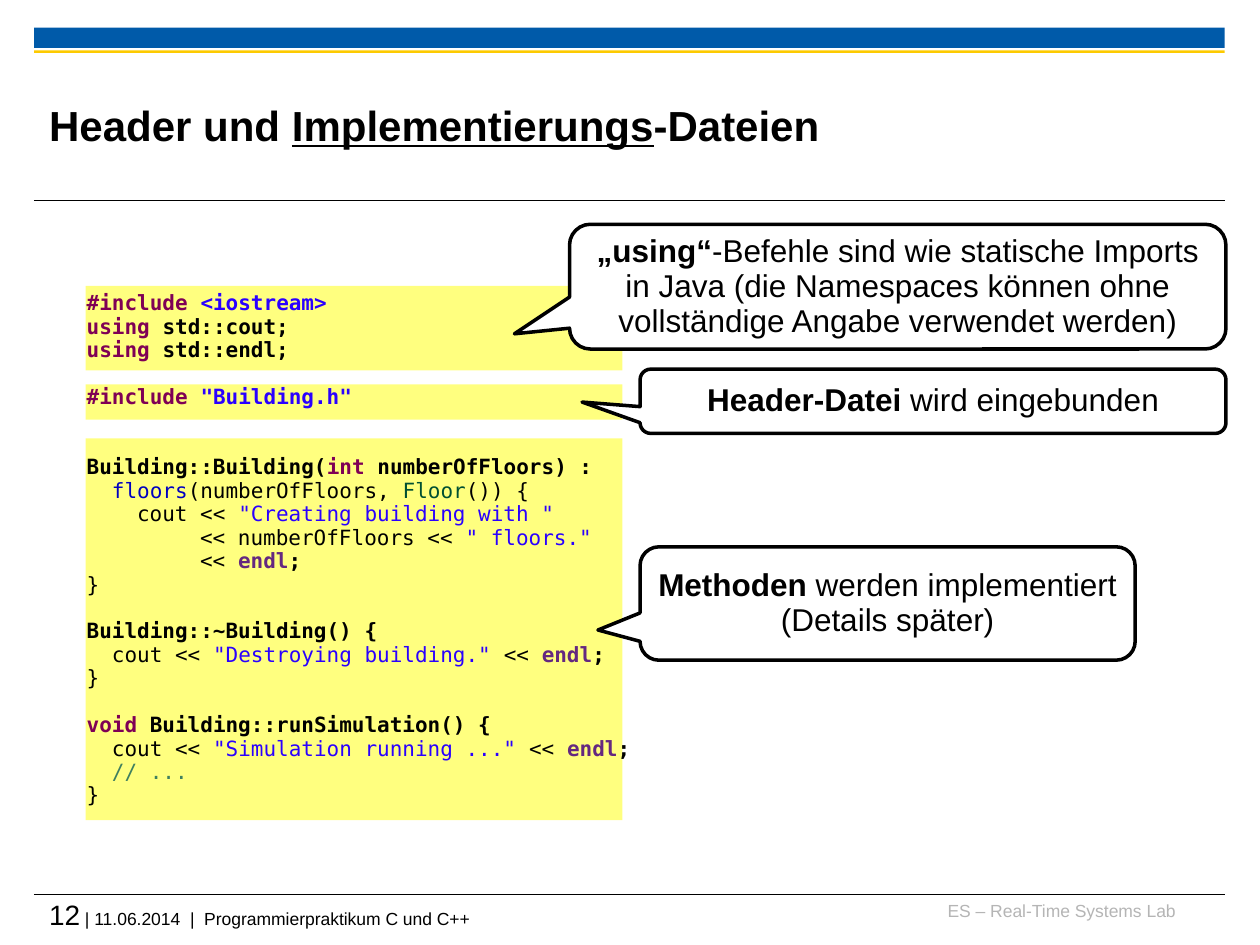
"""Build the slide on header and implementation files in C++."""
from lxml.etree import SubElement
from pptx import Presentation
from pptx.dml.color import RGBColor
from pptx.enum.shapes import MSO_CONNECTOR, MSO_SHAPE
from pptx.enum.text import MSO_ANCHOR, PP_ALIGN
from pptx.oxml.ns import qn
from pptx.util import Inches, Pt

COLORS = {
    "black": "000000", "white": "FFFFFF", "blue": "005AA9", "gold": "FDCA00",
    "grey": "B5B5B5", "highlight": "FFFF00", "keyword": "7F0055",
    "string": "2A00FF", "field": "0000C0", "type": "005032",
    "endl": "642880", "comment": "3F7F5F",
}
LINE_SPACING = 0.93
CODE_LINE = Pt(13.4)
CODE_CHAR = Inches(0.1)


def add_runs(paragraph, runs, size, font="Arial"):
    paragraph.font.size = Pt(size)
    paragraph.font.name = font
    for text, color, bold in runs:
        run = paragraph.add_run()
        run.text = text
        run.font.bold = bold
        run.font.color.rgb = RGBColor.from_string(COLORS[color])


def add_block(kind, left, top, width, height, fill):
    block = slide.shapes.add_shape(
        kind, Inches(left), Inches(top), Inches(width), Inches(height))
    block.shadow.inherit = False
    block.fill.solid()
    block.fill.fore_color.rgb = RGBColor.from_string(COLORS[fill])
    block.line.fill.background()
    return block


presentation = Presentation()
presentation.slide_width, presentation.slide_height = Inches(10), Inches(7.5)
slide = presentation.slides.add_slide(presentation.slide_layouts[5])

for top, height, color in [(0.22, 0.16, "blue"), (0.4, 0.02, "gold")]:
    add_block(MSO_SHAPE.RECTANGLE, 0.27, top, 9.45, height, color)

for y in (1.59, 7.1):
    rule = slide.shapes.add_connector(
        MSO_CONNECTOR.STRAIGHT, Inches(0.27), Inches(y), Inches(9.72), Inches(y))
    rule.line.color.rgb = RGBColor.from_string(COLORS["black"])
    rule.line.width = Pt(0.6)
    SubElement(rule._element.spPr, qn("a:effectLst"))

footers = [
    (7.36, 7.14, 1.97, 0.25, PP_ALIGN.RIGHT,
     [("ES – Real-Time Systems Lab", "grey", False)]),
    (0.39, 7.12, 9.33, 0.33, PP_ALIGN.LEFT,
     [("12", "black", False),
      (" | 11.06.2014  |  Programmierpraktikum C und C++", "black", False)]),
]
for left, top, width, height, alignment, runs in footers:
    footer = slide.shapes.add_textbox(
        Inches(left), Inches(top), Inches(width), Inches(height)).text_frame
    footer.word_wrap = True
    footer.margin_left = footer.margin_right = 0
    footer.margin_top = footer.margin_bottom = 0
    footer.paragraphs[0].alignment = alignment
    add_runs(footer.paragraphs[0], runs, 10)
footer.paragraphs[0].runs[0].font.size = Pt(16)

for top, height in [(2.27, 0.67), (3.05, 0.28), (3.48, 3.03)]:
    code_background = add_block(
        MSO_SHAPE.RECTANGLE, 0.68, top, 4.26, height, "highlight")
    highlight = code_background._element.spPr.find(qn("a:solidFill"))[0]
    SubElement(highlight, qn("a:alpha"), val="50000")

title = slide.shapes.title
title.left, title.top = Inches(0.39), Inches(0.53)
title.width, title.height = Inches(7.52), Inches(0.92)
heading = title.text_frame
heading.vertical_anchor = MSO_ANCHOR.MIDDLE
heading.margin_left = heading.margin_right = 0
heading.margin_top = heading.margin_bottom = 0
heading.paragraphs[0].alignment = PP_ALIGN.LEFT
add_runs(heading.paragraphs[0],
         [(text, "black", True)
          for text in ("Header und ", "Implementierungs", "-Dateien")], 24)
heading.paragraphs[0].runs[1].font.underline = True

closing_brace = (0, 0, [("}", "black", False)])
endl = [("endl", "endl", True), (";", "black", True)]
code_lines = [
    (0, 0, [("#include ", "keyword", True), ("<iostream>", "string", True)]),
    (0, 0, [("using", "keyword", True), (" std::cout;", "black", True)]),
    (0, 0, [("using", "keyword", True), (" std::endl;", "black", True)]),
    (1, 0, [("#include ", "keyword", True), ('"Building.h"', "string", True)]),
    (2, 0, [("Building::Building(", "black", True), ("int", "keyword", True),
            (" numberOfFloors) :", "black", True)]),
    (0, 2, [("floors", "field", False), ("(numberOfFloors, ", "black", False),
            ("Floor", "type", False), ("()) {", "black", False)]),
    (0, 4, [("cout << ", "black", False),
            ('"Creating building with "', "string", False)]),
    (0, 9, [("<< numberOfFloors << ", "black", False),
            ('" floors."', "string", False)]),
    (0, 9, [("<< ", "black", False), *endl]),
    closing_brace,
    (1, 0, [("Building::~Building() {", "black", True)]),
    (0, 2, [("cout << ", "black", False),
            ('"Destroying building."', "string", False),
            (" << ", "black", False), *endl]),
    closing_brace,
    (1, 0, [("void", "keyword", True),
            (" Building::runSimulation() {", "black", True)]),
    (0, 2, [("cout << ", "black", False),
            ('"Simulation running ..."', "string", False),
            (" << ", "black", False), *endl]),
    (0, 2, [("// ...", "comment", False)]),
    closing_brace,
]
code = slide.shapes.add_textbox(
    Inches(0.59), Inches(2.27), Inches(8.43), Inches(4.43)).text_frame
code.word_wrap = True
for index, (blank_lines, indent, runs) in enumerate(code_lines):
    line = code.add_paragraph() if index else code.paragraphs[0]
    line.line_spacing = LINE_SPACING
    line.space_before = blank_lines * CODE_LINE
    line._p.get_or_add_pPr().set("marL", str(indent * CODE_CHAR))
    add_runs(line, runs, 12, "DejaVu Sans Mono")

callouts = [
    (4.52, 1.78, 5.21, 0.99, (-0.584, 0.378),
     [[("„using“", "black", True),
       ("-Befehle sind wie statische Imports in Java (die Namespaces können "
        "ohne vollständige Angabe verwendet werden)", "black", False)]]),
    (5.08, 2.93, 4.65, 0.51, (-0.599, 0.012),
     [[("Header-Datei", "black", True), (" wird eingebunden", "black", False)]]),
    (5.08, 4.34, 3.93, 0.9, (-0.585, 0.234),
     [[("Methoden", "black", True), (" werden implementiert", "black", False)],
      [("(Details später)", "black", False)]]),
]
for left, top, width, height, pointer, paragraphs in callouts:
    callout = add_block(MSO_SHAPE.ROUNDED_RECTANGULAR_CALLOUT,
                        left, top, width, height, "white")
    callout.adjustments[0], callout.adjustments[1] = pointer
    callout.line.color.rgb = RGBColor.from_string(COLORS["black"])
    callout.line.width = Pt(2)
    note = callout.text_frame
    note.word_wrap = True
    note.vertical_anchor = MSO_ANCHOR.MIDDLE
    for index, runs in enumerate(paragraphs):
        paragraph = note.add_paragraph() if index else note.paragraphs[0]
        paragraph.alignment = PP_ALIGN.CENTER
        paragraph.line_spacing = LINE_SPACING
        add_runs(paragraph, runs, 18)

presentation.save("out.pptx")
